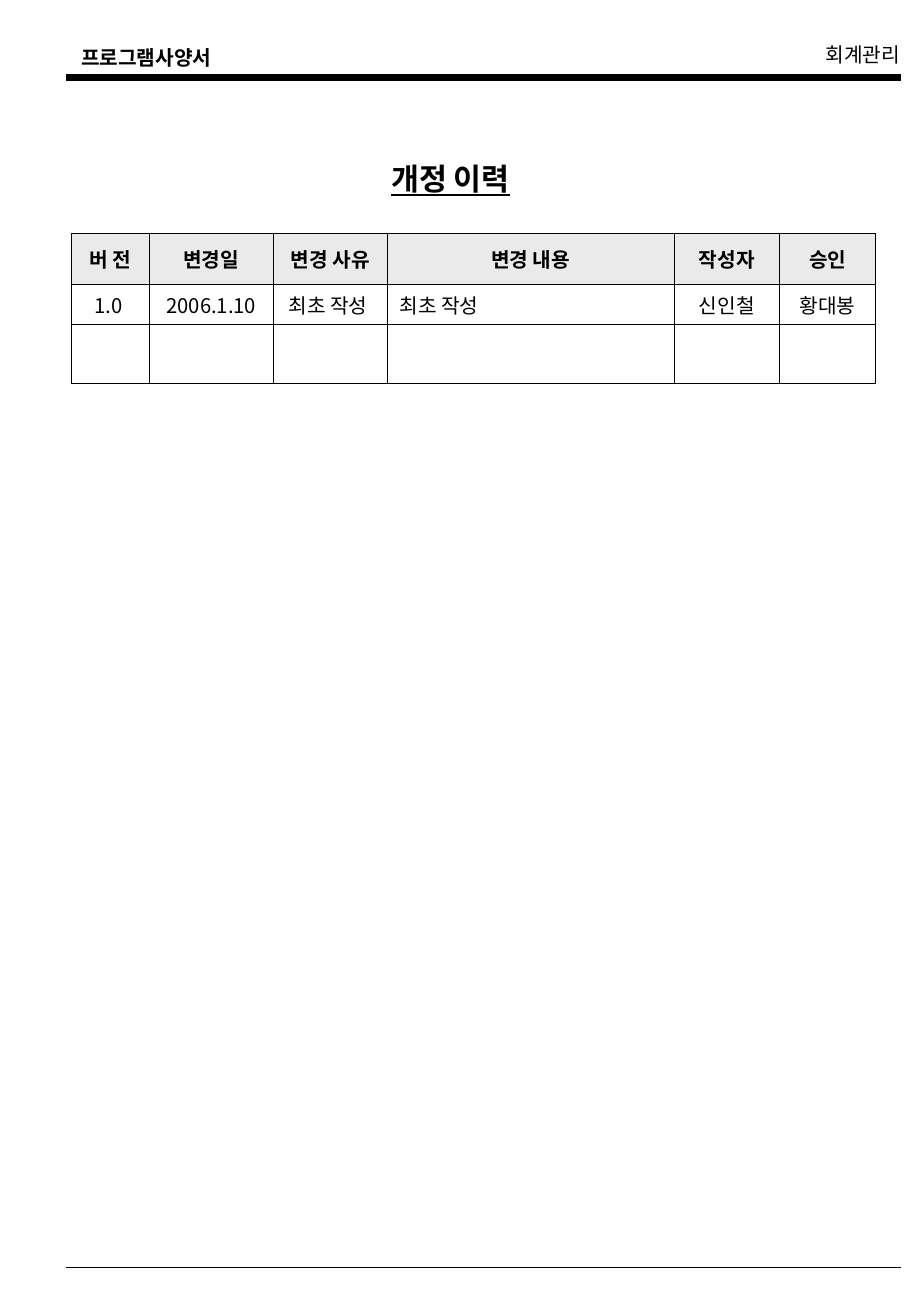
"""Build the revision history page of a program specification."""
from collections import namedtuple

from lxml.etree import SubElement
from pptx import Presentation
from pptx.dml.color import RGBColor
from pptx.enum.shapes import MSO_CONNECTOR
from pptx.enum.text import MSO_ANCHOR, MSO_AUTO_SIZE, PP_ALIGN
from pptx.oxml.ns import qn
from pptx.util import Inches, Pt

Theme = namedtuple("Theme", "font ink header_fill title_size text_size border")
theme = Theme("Noto Sans CJK KR", RGBColor(0, 0, 0), RGBColor(0xEA, 0xEA, 0xEA),
              Pt(18), Pt(12), Pt(0.45))


def write(text_frame, text, size, bold=False, align=PP_ALIGN.LEFT):
    text_frame.text = text
    paragraph = text_frame.paragraphs[0]
    paragraph.alignment = align
    font = paragraph.font
    font.size, font.bold, font.name = size, bold, theme.font
    font.color.rgb = theme.ink
    SubElement(font._rPr, qn("a:ea"), typeface=theme.font)
    return paragraph


def add_border(cell, side):
    line = SubElement(cell._tc.get_or_add_tcPr(), qn(f"a:ln{side}"), w=str(int(theme.border)))
    fill = SubElement(line, qn("a:solidFill"))
    SubElement(fill, qn("a:srgbClr"), val=str(theme.ink))


presentation = Presentation()
presentation.slide_width, presentation.slide_height = Inches(7.5), Inches(10.84)
slide = presentation.slides.add_slide(presentation.slide_layouts[5])

page_headers = [
    ("프로그램사양서", 0.57, 0.32, 1.27, True, PP_ALIGN.LEFT),
    ("회계관리", 6.7, 0.3, 0.81, False, PP_ALIGN.RIGHT),
]
for text, left, top, width, bold, align in page_headers:
    text_box = slide.shapes.add_textbox(Inches(left), Inches(top), Inches(width), Inches(0.3))
    text_box.text_frame.word_wrap = False
    text_box.text_frame.auto_size = MSO_AUTO_SIZE.SHAPE_TO_FIT_TEXT
    write(text_box.text_frame, text, theme.text_size, bold, align)

for top, weight in [(0.64, 4.5), (10.44, 1)]:
    rule = slide.shapes.add_connector(
        MSO_CONNECTOR.STRAIGHT, Inches(0.54), Inches(top), Inches(7.42), Inches(top))
    rule.line.color.rgb = theme.ink
    rule.line.width = Pt(weight)
    SubElement(rule._element.spPr, qn("a:effectLst"))

title = slide.shapes.title
title.left, title.top, title.width, title.height = map(Inches, (3.12, 1.27, 1.53, 0.4))
title.text_frame.word_wrap = True
title.text_frame.auto_size = MSO_AUTO_SIZE.SHAPE_TO_FIT_TEXT
title.text_frame.vertical_anchor = MSO_ANCHOR.TOP
heading = write(title.text_frame, "개정 이력", theme.title_size, True)
heading.font.underline = True
heading.space_before = Pt(11.2)

column_widths = [0.64, 1.02, 0.94, 2.36, 0.87, 0.79]
row_heights = [0.42, 0.33, 0.49]
revisions = [
    ["버 전", "변경일", "변경 사유", "변경 내용", "작성자", "승인"],
    ["1.0 ", "2006.1.10", "최초 작성 ", "최초 작성", "신인철", "황대봉"],
    [""] * len(column_widths),
]
table = slide.shapes.add_table(
    len(row_heights), len(column_widths), Inches(0.59), Inches(1.92),
    Inches(sum(column_widths)), Inches(sum(row_heights))).table
table.first_row = table.horz_banding = False
for column, width in zip(table.columns, column_widths):
    column.width = Inches(width)
for row, height in zip(table.rows, row_heights):
    row.height = Inches(height)

for row_index, texts in enumerate(revisions):
    is_header = row_index == 0
    for column_index, text in enumerate(texts):
        cell = table.cell(row_index, column_index)
        cell.vertical_anchor = MSO_ANCHOR.MIDDLE
        for side in "LRTB":
            add_border(cell, side)
        if is_header:
            cell.fill.solid()
            cell.fill.fore_color.rgb = theme.header_fill
        else:
            cell.fill.background()
        is_description = column_index == 3 and not is_header
        align = PP_ALIGN.LEFT if is_description else PP_ALIGN.CENTER
        paragraph = write(cell.text_frame, text, theme.text_size, is_header, align)
        paragraph.space_before = Pt(3)

presentation.save("out.pptx")
